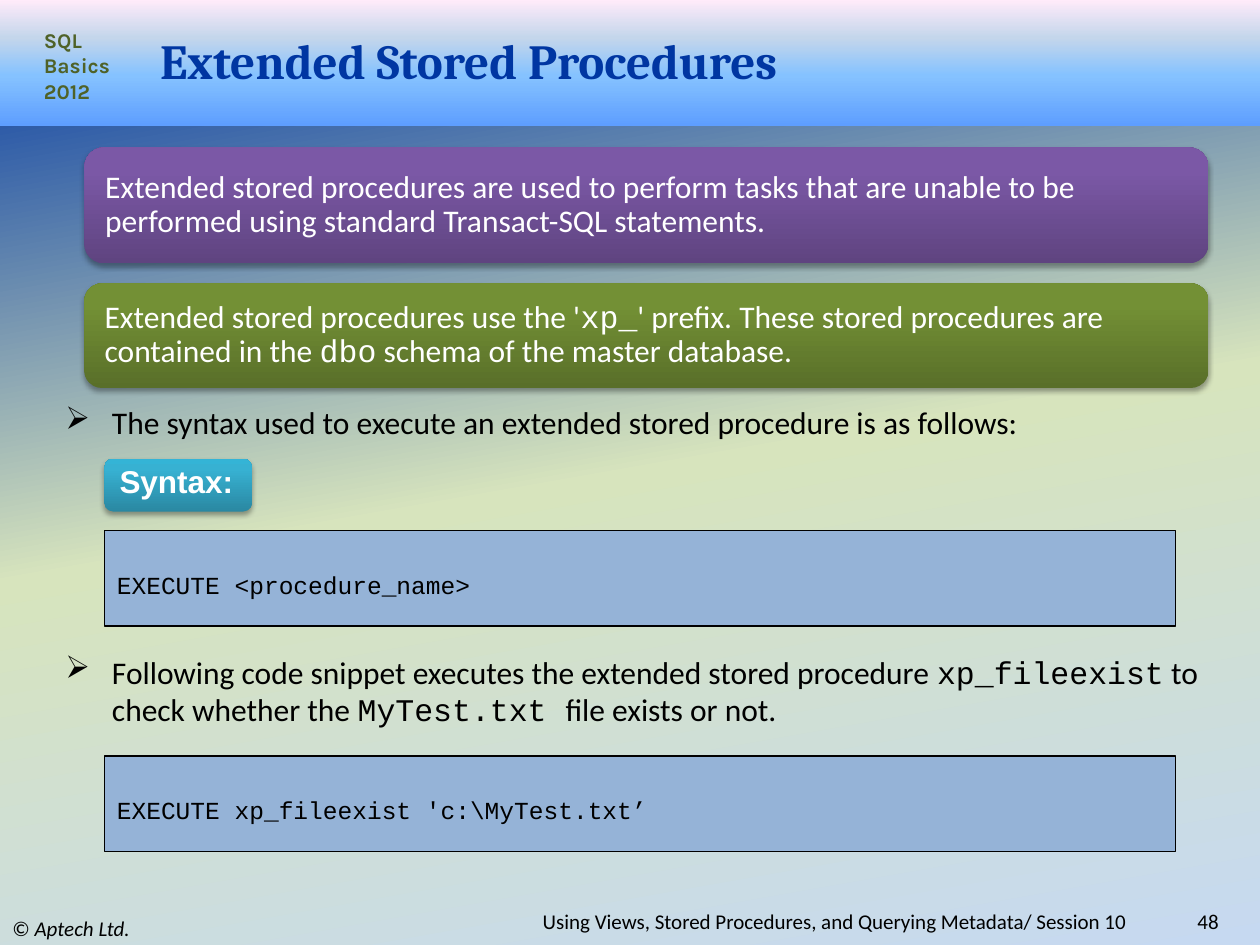
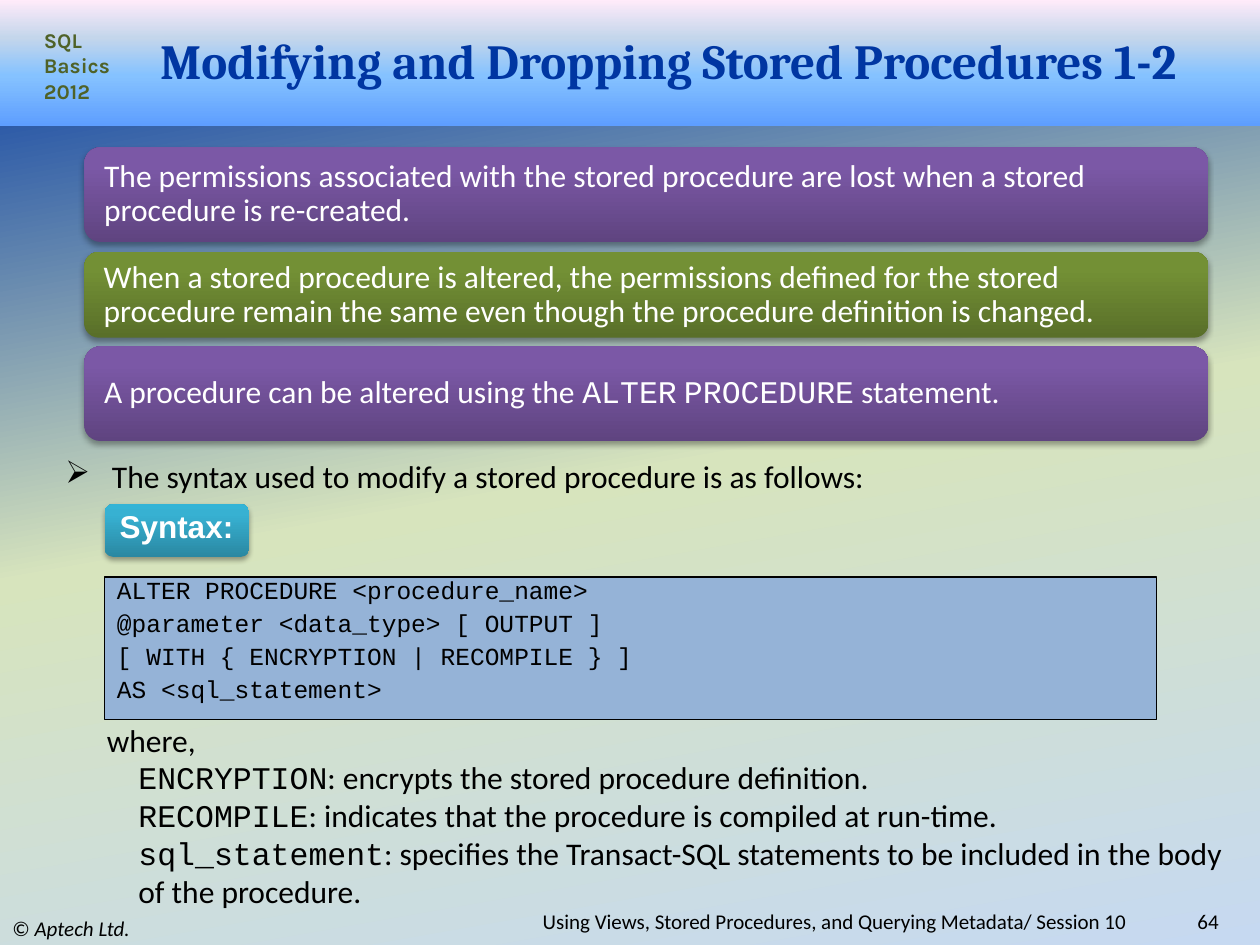
from lxml import etree
from pptx import Presentation
from pptx.dml.color import RGBColor
from pptx.enum.shapes import MSO_SHAPE
from pptx.enum.text import MSO_ANCHOR, MSO_AUTO_SIZE, PP_ALIGN
from pptx.oxml import parse_xml
from pptx.oxml.ns import nsdecls, qn
from pptx.util import Inches, Pt

COLORS = {
    "title": "0036A2",
    "title_outline": "C00000",
    "course": "4F6228",
    "code": "95B3D7",
    "black": "000000",
    "white": "FFFFFF",
}
# Gradient stops as (percent, colour), from the start of the gradient line
GRADIENTS = {
    "page": [(0, "0036A2"), (50, "D7E4BD"), (100, "C6D9F1")],
    "band": [(0, "5E9EFF"), (40, "85C2FF"), (70, "C4D6EB"), (100, "FFEBFA")],
    "purple": [(0, "5F4480"), (80, "7B58A6"), (100, "7C57A8")],
    "green": [(0, "596F29"), (80, "739035"), (100, "749334")],
    "teal": [(0, "2A88A2"), (80, "37B1D2"), (100, "34B4D6")],
}
BODY = {"name": "Calibri", "size": Pt(18)}
CODE = {"name": "Courier New", "size": Pt(14)}
SMALL = {"name": "Calibri", "size": Pt(12)}
COURSE = {"name": "Karla", "size": Pt(12), "bold": True}
TITLE = {"name": "Cambria", "size": Pt(28), "bold": True}
LABEL = {"name": "Arial", "size": Pt(18), "bold": True}


def apply_values(target, values):
    for name, value in values.items():
        setattr(target, name, value)


def apply_gradient(fill, element, name, angle):
    """Fill with a named gradient; angle runs clockwise in degrees."""
    fill.gradient()
    fill.gradient_angle = 360 - angle
    stops = element.find(".//" + qn("a:gsLst"))
    for stop in list(stops):
        stops.remove(stop)
    for percent, color in GRADIENTS[name]:
        stop = etree.SubElement(stops, qn("a:gs"), pos=str(percent * 1000))
        etree.SubElement(stop, qn("a:srgbClr"), val=color)


def add_drop_shadow(shape):
    effects = shape.element.spPr.find(qn("a:effectLst"))
    effects.append(parse_xml(
        f'<a:outerShdw {nsdecls("a")} blurRad="40000" dist="23000" dir="5400000" '
        f'rotWithShape="0"><a:srgbClr val="{COLORS["black"]}">'
        '<a:alpha val="35000"/></a:srgbClr></a:outerShdw>'))


def write_para(para, text, font, color="black", marked=None, **layout):
    """Write text; parts between backticks also take the marked font values."""
    apply_values(para, {"alignment": PP_ALIGN.LEFT, **layout})
    marked = marked or {"name": "Courier New"}
    for index, part in enumerate(text.split("`")):
        if part:
            span = para.add_run()
            span.text = part
            apply_values(span.font, {**font, **marked} if index % 2 else font)
            span.font.color.rgb = RGBColor.from_string(COLORS[color])


def indent(para, left, first=0, bullet=None):
    props = para._p.get_or_add_pPr()
    props.set("marL", str(Inches(left)))
    props.set("indent", str(Inches(first)))
    if bullet:
        etree.SubElement(props, qn("a:buChar"), char=bullet)


def add_text(page, place, text, font, color="black", marked=None,
             align=PP_ALIGN.LEFT, anchor=MSO_ANCHOR.TOP):
    box = page.shapes.add_textbox(*map(Inches, place))
    apply_values(box.text_frame, {"word_wrap": True, "vertical_anchor": anchor})
    para = box.text_frame.paragraphs[0]
    write_para(para, text, font, color, marked, alignment=align)
    return box


def add_panel(page, place, kind, gradient=None):
    shape = page.shapes.add_shape(kind, *map(Inches, place))
    shape.shadow.inherit = False
    if gradient:
        apply_gradient(shape.fill, shape.element, gradient, 270)
        shape.line.fill.background()
    return shape


def add_card(page, top, height, gradient, text):
    card = add_panel(page, (0.67, top, 8.92, height),
                     MSO_SHAPE.ROUNDED_RECTANGLE, gradient)
    add_drop_shadow(card)
    apply_values(card.text_frame, {
        "word_wrap": True, "vertical_anchor": MSO_ANCHOR.MIDDLE,
        "margin_left": Inches(0.12), "margin_right": Inches(0.12)})
    write_para(card.text_frame.paragraphs[0], text, BODY, "white", line_spacing=0.9)


def add_syntax_label(page, top, width):
    label = add_panel(page, (0.83, top, width, 0.42),
                      MSO_SHAPE.ROUNDED_RECTANGLE, "teal")
    add_drop_shadow(label)
    label.text_frame.vertical_anchor = MSO_ANCHOR.MIDDLE
    write_para(label.text_frame.paragraphs[0], "Syntax:", LABEL, "white",
               line_spacing=0.7)


def add_code(page, top, width, height, lines, **frame_values):
    panel = add_panel(page, (0.83, top, width, height), MSO_SHAPE.RECTANGLE)
    panel.fill.solid()
    panel.fill.fore_color.rgb = RGBColor.from_string(COLORS["code"])
    panel.line.color.rgb = RGBColor.from_string(COLORS["black"])
    panel.line.width = Pt(0.75)
    frame = panel.text_frame
    apply_values(frame, {"word_wrap": True, **frame_values})
    for index, line in enumerate(lines):
        para = frame.add_paragraph() if index else frame.paragraphs[0]
        write_para(para, line, CODE, line_spacing=0.7,
                   space_before=Pt(7 if index else 0))


def add_one_line_code(page, top, line):
    add_code(page, top, 8.5, 0.76, [line],
             vertical_anchor=MSO_ANCHOR.BOTTOM, margin_bottom=Inches(0.22))


def add_bullet(page, top, width, height, text):
    box = add_text(page, (0.42, top, width, height), text, BODY)
    indent(box.text_frame.paragraphs[0], 0.37, -0.37, "➢")


def add_definitions(page, place, lead, definitions):
    frame = add_text(page, place, lead, BODY).text_frame
    for definition in definitions:
        para = frame.add_paragraph()
        indent(para, 0.25)
        write_para(para, definition, BODY)


def format_title(page, text):
    title = page.shapes.title
    title.element.getparent().append(title.element)  # in front of the band
    places = zip(("left", "top", "width", "height"), (1.17, 0.25, 8.33, 0.45))
    apply_values(title, {name: Inches(value) for name, value in places})
    apply_values(title.text_frame, {
        "word_wrap": True, "auto_size": MSO_AUTO_SIZE.NONE,
        "vertical_anchor": MSO_ANCHOR.MIDDLE})
    para = title.text_frame.paragraphs[0]
    write_para(para, text, TITLE, "title")
    para.runs[0].font._element.insert(0, parse_xml(
        f'<a:ln {nsdecls("a")} w="900"><a:solidFill>'
        f'<a:srgbClr val="{COLORS["title_outline"]}"><a:alpha val="55000"/>'
        '</a:srgbClr></a:solidFill></a:ln>'))


def add_page(deck, title, number):
    """Add a slide with the shared background, band, title and footers."""
    page = deck.slides.add_slide(deck.slide_layouts[5])
    apply_gradient(page.background.fill, page.element, "page", 80)
    add_panel(page, (0, 0, 10, 1), MSO_SHAPE.RECTANGLE, "band")
    add_text(page, (0, 7.23, 3.33, 0.27), "© `Aptech Ltd.`", SMALL,
             marked={"italic": True}, anchor=MSO_ANCHOR.MIDDLE)
    add_text(page, (0.25, 0.17, 0.75, 0.71), "SQL Basics 2012", COURSE, "course")
    session = "Using Views, Stored Procedures, and Querying Metadata/ Session 10 "
    for left, width, text in ((8.92, 0.85, str(number)), (2.5, 6.58, session)):
        add_text(page, (left, 7.22, width, 0.18), text, SMALL,
                 align=PP_ALIGN.RIGHT, anchor=MSO_ANCHOR.MIDDLE)
    format_title(page, title)
    return page


def add_extended_procedures(deck):
    page = add_page(deck, "Extended Stored Procedures", 48)
    add_card(page, 1.17, 0.92, "purple",
             "Extended stored procedures are used to perform tasks that are unable "
             "to be performed using standard Transact-SQL statements.")
    add_card(page, 2.25, 0.83, "green",
             "Extended stored procedures use the '`xp_`' prefix. These stored "
             "procedures are contained in the `dbo` schema of the master database.")
    add_bullet(page, 3.15, 9.42, 0.4,
               "The syntax used to execute an extended stored procedure is as follows:")
    add_syntax_label(page, 3.64, 1.17)
    add_one_line_code(page, 4.21, "EXECUTE <procedure_name>")
    add_bullet(page, 5.13, 9.42, 0.71,
               "Following code snippet executes the extended stored procedure "
               "`xp_fileexist` to check whether the `MyTest.txt `file exists or not.")
    add_one_line_code(page, 6, "EXECUTE xp_fileexist 'c:\\MyTest.txt’")


def add_modifying_procedures(deck):
    page = add_page(deck, "Modifying and Dropping Stored Procedures 1-2", 64)
    add_card(page, 1.17, 0.75, "purple",
             "The permissions associated with the stored procedure are lost when a "
             "stored procedure is re-created.")
    add_card(page, 2, 0.68, "green",
             "When a stored procedure is altered, the permissions defined for the "
             "stored procedure remain the same even though the procedure definition "
             "is changed.")
    add_card(page, 2.75, 0.75, "purple",
             "A procedure can be altered using the `ALTER` `PROCEDURE` statement.")
    add_bullet(page, 3.58, 9.17, 0.4,
               "The syntax used to modify a stored procedure is as follows:")
    add_syntax_label(page, 4, 1.15)
    add_code(page, 4.58, 8.35, 1.13, [
        "ALTER PROCEDURE <procedure_name>",
        "@parameter <data_type> [ OUTPUT ]",
        "[ WITH { ENCRYPTION | RECOMPILE } ]",
        "AS <sql_statement>",
    ], vertical_anchor=MSO_ANCHOR.TOP)
    add_definitions(page, (0.75, 5.67, 9.25, 1.62), "where,", [
        "`ENCRYPTION`: encrypts the stored procedure definition.",
        "`RECOMPILE`: indicates that the procedure is compiled at run-time.",
        "`sql_statement`: specifies the Transact-SQL statements to be included in "
        "the body of the procedure.",
    ])


def main():
    deck = Presentation()
    deck.slide_width, deck.slide_height = Inches(10), Inches(7.5)
    add_extended_procedures(deck)
    add_modifying_procedures(deck)
    deck.save("out.pptx")


if __name__ == "__main__":
    main()
